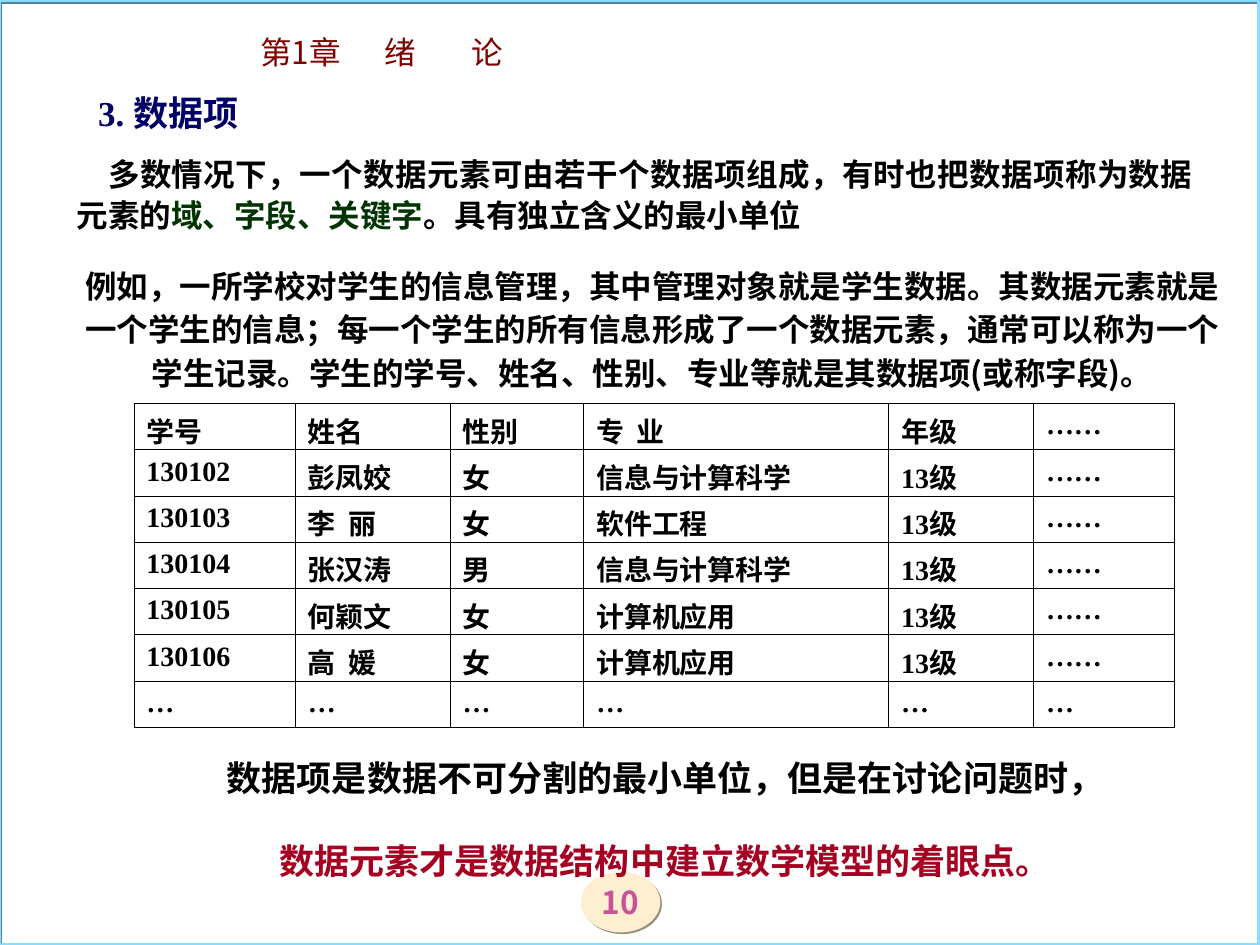
from lxml import etree
from pptx import Presentation
from pptx.dml.color import RGBColor
from pptx.enum.shapes import MSO_SHAPE
from pptx.enum.text import MSO_ANCHOR, MSO_AUTO_SIZE, PP_ALIGN
from pptx.oxml.ns import qn
from pptx.util import Pt

LEFT, CENTER, JUSTIFY = PP_ALIGN.LEFT, PP_ALIGN.CENTER, PP_ALIGN.JUSTIFY
TOP, MIDDLE = MSO_ANCHOR.TOP, MSO_ANCHOR.MIDDLE
GROW = MSO_AUTO_SIZE.SHAPE_TO_FIT_TEXT
OVAL, RECTANGLE = MSO_SHAPE.OVAL, MSO_SHAPE.RECTANGLE

BLACK = RGBColor(0x00, 0x00, 0x00)
MAROON = RGBColor(0x80, 0x00, 0x00)
NAVY = RGBColor(0x00, 0x00, 0x66)
GREEN = RGBColor(0x00, 0x33, 0x00)
CRIMSON = RGBColor(0xA5, 0x00, 0x21)
PINK = RGBColor(0xC7, 0x53, 0x99)
CREAM = RGBColor(0xFF, 0xEF, 0xD1)
CREAM_SHADE = RGBColor(0x99, 0x8F, 0x7D)
SKY = RGBColor(0x8A, 0xDB, 0xFF)
SKY_SHADE = RGBColor(0x53, 0x83, 0x99)

SANS, SANS_JP, SERIF = "Noto Sans CJK SC", "Noto Sans CJK JP", "Times New Roman"

COLUMNS = [92.16, 88.56, 76.32, 174.24, 82.8, 80.64]
RECORDS = [
    ("学号", "姓名", "性别", "专  业", "年级", "……"),
    ("130102", "彭凤姣", "女", "信息与计算科学", "13级", "……"),
    ("130103", "李  丽", "女", "软件工程", "13级", "……"),
    ("130104", "张汉涛", "男", "信息与计算科学", "13级", "……"),
    ("130105", "何颖文", "女", "计算机应用", "13级", "……"),
    ("130106", "高  媛", "女", "计算机应用", "13级", "……"),
    ("…",) * len(COLUMNS),
]


def write(p, *parts, size=18, font=SANS, color=BLACK, bold=True, align=LEFT,
          spacing=None, before=None, indent=0, tabs=()):
    """Fill a paragraph; a part is a string or a (string, colour) pair."""
    p.alignment = align
    if spacing:
        p.line_spacing = spacing
    if before:
        p.space_before = Pt(before)
    pPr = p._p.get_or_add_pPr()
    if indent:
        pPr.set("indent", str(Pt(indent)))
    if tabs:
        tab_list = etree.SubElement(pPr, qn("a:tabLst"))
        for pos in tabs:
            etree.SubElement(tab_list, qn("a:tab"), pos=str(Pt(pos)), algn="l")
    for part in parts:
        text, part_color = (part, color) if isinstance(part, str) else part
        r = p.add_run()
        r.text = text
        r.font.size, r.font.name, r.font.bold = Pt(size), font, bold
        r.font.color.rgb = part_color


def text_box(s, box, anchor=TOP):
    tf = s.shapes.add_textbox(*map(Pt, box)).text_frame
    tf.word_wrap = True
    tf.auto_size = GROW
    tf.vertical_anchor = anchor
    return tf


def add_shadow(sp, color):
    sp.shadow.inherit = False
    effects = sp._element.spPr.find(qn("a:effectLst"))
    shadow = etree.SubElement(effects, qn("a:outerShdw"), blurRad="0",
                              dist=str(Pt(1.4)), dir="2700000", algn="ctr", rotWithShape="0")
    etree.SubElement(shadow, qn("a:srgbClr"), val=str(color))


def page_badge(s, box, number):
    sp = s.shapes.add_shape(OVAL, *map(Pt, box))
    sp.fill.solid()
    sp.fill.fore_color.rgb = CREAM
    sp.line.fill.background()
    add_shadow(sp, CREAM_SHADE)
    tf = sp.text_frame
    tf.margin_left = tf.margin_top = tf.margin_right = tf.margin_bottom = 0
    tf.vertical_anchor = MIDDLE
    write(tf.paragraphs[0], number, color=PINK, align=CENTER)


def page_frame(s, box):
    sp = s.shapes.add_shape(RECTANGLE, *map(Pt, box))
    sp.fill.background()
    sp.line.color.rgb = SKY
    sp.line.width = Pt(2.25)
    add_shadow(sp, SKY_SHADE)


def chapter_title(s, box):
    write(text_box(s, box).paragraphs[0], "第1章\t绪\t论", font=SANS_JP,
          color=MAROON, bold=False, tabs=(71, 120.5))


def definition(s, box):
    write(text_box(s, box).paragraphs[0],
          "多数情况下，一个数据元素可由若干个数据项组成，有时也把数据项称为数据元素的",
          ("域、字段、关键字", GREEN), "。具有独立含义的最小单位",
          align=JUSTIFY, spacing=1.1, indent=18)


def heading(s, box):
    write(text_box(s, box).paragraphs[0], "3. 数据项", size=20, font=SERIF,
          color=NAVY, align=CENTER)


def border_cell(cell):
    tcPr = cell._tc.get_or_add_tcPr()
    for side in ("lnL", "lnR", "lnT", "lnB"):
        ln = etree.SubElement(tcPr, qn("a:" + side), w=str(Pt(0.45)))
        fill = etree.SubElement(ln, qn("a:solidFill"))
        etree.SubElement(fill, qn("a:srgbClr"), val=str(BLACK))


def student_table(s, box):
    table = s.shapes.add_table(len(RECORDS), len(COLUMNS), *map(Pt, box)).table
    table.first_row = table.horz_banding = False
    for column, width in zip(table.columns, COLUMNS):
        column.width = Pt(width)
    for row, record in zip(table.rows, RECORDS):
        row.height = Pt(box[3] / len(RECORDS))
        for cell, text in zip(row.cells, record):
            border_cell(cell)
            cell.fill.background()
            write(cell.text_frame.paragraphs[0], text, size=16, font=SERIF)


def example(s, box):
    write(text_box(s, box, MIDDLE).paragraphs[0],
          "例如，一所学校对学生的信息管理，其中管理对象就是学生数据。其数据元素就是"
          "一个学生的信息；每一个学生的所有信息形成了一个数据元素，通常可以称为一个"
          "学生记录。学生的学号、姓名、性别、专业等就是其数据项(或称字段)。",
          align=CENTER, spacing=1.15)


def conclusion(s, box):
    tf = text_box(s, box, MIDDLE)
    style = dict(size=20, font=SERIF, align=CENTER)
    write(tf.paragraphs[0], "数据项是数据不可分割的最小单位，但是在讨论问题时，", **style)
    write(tf.add_paragraph(), "数据元素才是数据结构中建立数学模型的着眼点。",
          color=CRIMSON, before=23, **style)


def main():
    prs = Presentation()
    prs.slide_width, prs.slide_height = Pt(720), Pt(540)
    s = prs.slides.add_slide(prs.slide_layouts[6])
    page_badge(s, (331.9, 498.2, 45.4, 34.6), "10")
    page_frame(s, (-0.7, 0, 720, 540))
    chapter_title(s, (141.8, 15.1, 414.7, 28.8))
    definition(s, (36.7, 82.8, 652.3, 54.7))
    heading(s, (36.7, 49, 118.8, 31.7))
    student_table(s, (76.5, 230.6, sum(COLUMNS), 185))
    example(s, (36.7, 145.4, 671.8, 82.1))
    conclusion(s, (54, 428.4, 652.3, 79.2))
    prs.save("out.pptx")


if __name__ == "__main__":
    main()
